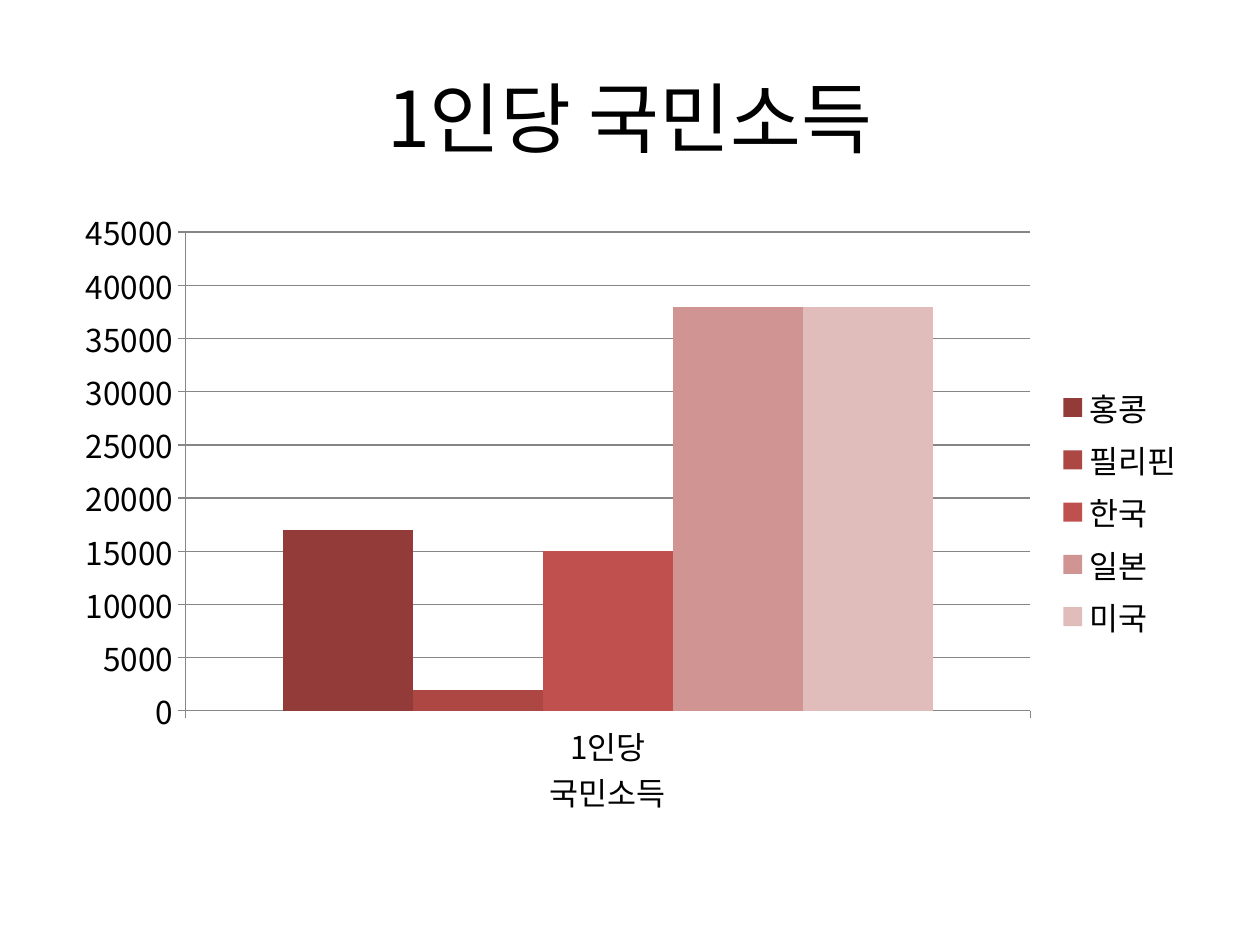
from pptx import Presentation
from pptx.chart.data import CategoryChartData
from pptx.dml.color import RGBColor
from pptx.enum.chart import XL_CHART_TYPE, XL_LEGEND_POSITION, XL_TICK_MARK
from pptx.enum.text import MSO_ANCHOR, PP_ALIGN
from pptx.oxml import parse_xml
from pptx.oxml.ns import nsdecls, qn
from pptx.util import Inches, Pt

FONT = "Noto Sans CJK KR"
BLACK = RGBColor(0, 0, 0)
GREY = RGBColor(0x86, 0x86, 0x86)
TITLE = "1인당 국민소득"
GROUP = "1인당\n국민소득"
INCOME = [
    ("홍콩", 17000, RGBColor(0x92, 0x3B, 0x39)),
    ("필리핀", 2000, RGBColor(0xAC, 0x47, 0x44)),
    ("한국", 15000, RGBColor(0xC0, 0x50, 0x4D)),
    ("일본", 38000, RGBColor(0xD0, 0x94, 0x92)),
    ("미국", 38000, RGBColor(0xE0, 0xBC, 0xBB)),
]

deck = Presentation()
deck.slide_width, deck.slide_height = Inches(10), Inches(7.5)
slide = deck.slides.add_slide(deck.slide_layouts[6])


def style(font, size):
    font.size, font.name, font.bold = Pt(size), FONT, False
    font.color.rgb = BLACK
    font._element.find(qn("a:latin")).addnext(
        parse_xml(f'<a:ea {nsdecls("a")} typeface="{FONT}"/>'))


def write(text, box, size=18, align=PP_ALIGN.CENTER, anchor=MSO_ANCHOR.MIDDLE):
    frame = slide.shapes.add_textbox(*map(Inches, box)).text_frame
    frame.word_wrap, frame.vertical_anchor = True, anchor
    line = frame.paragraphs[0]
    line.alignment = align
    run = line.add_run()
    run.text = text
    style(run.font, size)


data = CategoryChartData()
data.categories = [GROUP]
for name, value, _ in INCOME:
    data.add_series(name, [value])
chart = slide.shapes.add_chart(
    XL_CHART_TYPE.COLUMN_CLUSTERED,
    *map(Inches, (0.5, 1.56, 9, 5.01)), data).chart
style(chart.font, 18)
chart.has_title = False
chart.has_legend = True
chart.legend.position = XL_LEGEND_POSITION.RIGHT
chart.legend.include_in_layout = False

plot = chart.plots[0]
plot.gap_width, plot.overlap, plot.vary_by_categories = 150, 0, False
for bar, (_, _, color) in zip(plot.series, INCOME):
    bar.format.fill.solid()
    bar.format.fill.fore_color.rgb = color

scale = chart.value_axis
scale.minimum_scale, scale.maximum_scale, scale.major_unit = 0, 45000, 5000
scale.has_major_gridlines = True
for axis in (scale, chart.category_axis):
    axis.major_tick_mark = XL_TICK_MARK.OUTSIDE
for part in (scale, chart.category_axis, scale.major_gridlines):
    part.format.line.color.rgb = GREY
    part.format.line.width = Pt(0.75)

write(TITLE, (0.5, 0.3, 9, 1.25), size=44)
deck.save("out.pptx")
